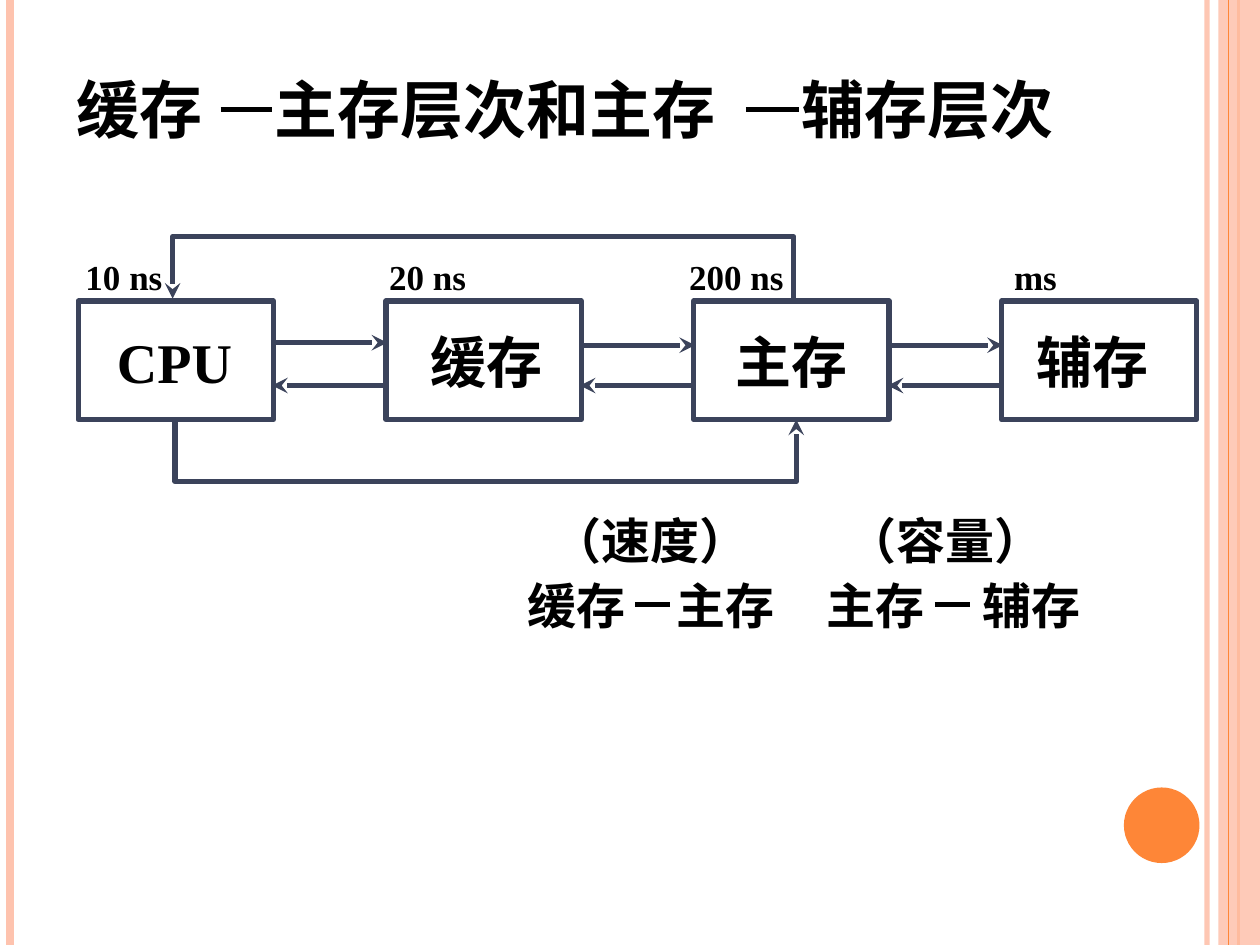
from lxml.etree import SubElement
from pptx import Presentation
from pptx.dml.color import RGBColor
from pptx.enum.shapes import MSO_CONNECTOR as CONN, MSO_SHAPE as SHAPE
from pptx.enum.text import MSO_ANCHOR as ANCHOR, PP_ALIGN as ALIGN
from pptx.oxml.ns import qn
from pptx.util import Inches, Pt

FONT = "Times New Roman"
COLORS = {"text": "000000", "diagram": "3B435B", "peach": "FEC3AE", "orange": "FE8637"}

TITLE = "缓存\t主存层次和主存\t辅存层次"
TITLE_TABS = [1.57, 5.75]
TITLE_DASHES = [(1.75, 2.16), (5.92, 6.34)]

# Vertical rules: x, colour, width in points, opacity in percent
RULES_BEHIND = [(9.58, "peach", 3, 93), (0.08, "peach", 4.5, 100), (9.83, "orange", 1.5, 100)]
RULE_FRONT = (9.75, "orange", 0.75, 100)

# Memory levels: name, name left, name width, access time, time left, time width
LEVELS = [
    ("CPU", 0.83, 1.34, "10 ns", 0.58, 0.81),
    ("缓存", 3.32, 1.31, "20 ns", 2.99, 0.81),
    ("主存", 5.74, 1.15, "200 ns", 5.37, 0.95),
    ("辅存", 8.13, 1.31, "ms", 7.95, 0.54),
]
BOX_LEFT, BOX_PITCH = 0.62, 2.443
BOX_TOP, BOX_W, BOX_H = 2.39, 1.55, 0.94
FORWARD_Y = [2.72, 2.74, 2.74]
BACK_Y = 3.06

# Paths between CPU and main memory, both ending in an arrowhead
BYPASSES = [
    [(1.39, 3.33), (1.39, 3.82), (6.32, 3.82), (6.32, 3.33)],
    [(6.3, 2.37), (6.3, 1.88), (1.37, 1.88), (1.37, 2.37)],
]

# Hierarchies: purpose, its left, (level, left) pair, dash from, dash to
HIERARCHIES = [
    ("（速度）", 4.29, [("缓存", 4.09), ("主存", 5.27)], 5.04, 5.32),
    ("（容量）", 6.63, [("主存", 6.46), ("辅存", 7.7)], 7.42, 7.7),
]

prs = Presentation()
prs.slide_width, prs.slide_height = Inches(10), Inches(7.5)
s = prs.slides.add_slide(prs.slide_layouts[5])


def rgb(name):
    return RGBColor.from_string(COLORS[name])


def set_opacity(fill_parent, percent):
    color = fill_parent.find(".//" + qn("a:srgbClr"))
    SubElement(color, qn("a:alpha"), val=str(percent * 1000))


def style_line(sp, color, width, arrow=False):
    sp.line.color.rgb = rgb(color)
    sp.line.width = Pt(width)
    if arrow:
        SubElement(sp.line._get_or_add_ln(), qn("a:tailEnd"), type="stealth")


def add_line(x1, y1, x2, y2, color, width, arrow=False, opacity=100):
    c = s.shapes.add_connector(CONN.STRAIGHT, *map(Inches, (x1, y1, x2, y2)))
    style_line(c, color, width, arrow)
    if opacity < 100:
        set_opacity(c.line._get_or_add_ln(), opacity)
    SubElement(c._element.spPr, qn("a:effectLst"))


def add_shape(kind, x, y, w, h, fill=None):
    sp = s.shapes.add_shape(kind, *map(Inches, (x, y, w, h)))
    sp.shadow.inherit = False
    if fill:
        sp.fill.solid()
        sp.fill.fore_color.rgb = rgb(fill)
        sp.line.fill.background()
    else:
        sp.fill.background()
    return sp


def add_run(p, text, size):
    r = p.add_run()
    r.text = text
    r.font.name, r.font.size, r.font.bold = FONT, Pt(size), True
    r.font.color.rgb = rgb("text")


def add_text(text, x, y, w, h, size, wrap=False):
    tf = s.shapes.add_textbox(*map(Inches, (x, y, w, h))).text_frame
    tf.word_wrap = wrap
    add_run(tf.paragraphs[0], text, size)


def add_rule(x, color, width, opacity):
    add_line(x, 0, x, 7.5, color, width, opacity=opacity)


# Page decoration
for rule in RULES_BEHIND:
    add_rule(*rule)
band = add_shape(SHAPE.RECTANGLE, 9.67, 0, 0.33, 7.5, "peach")
set_opacity(band._element.spPr, 87)
add_rule(*RULE_FRONT)
add_shape(SHAPE.OVAL, 8.92, 6.25, 0.6, 0.6, "orange")

# Title, with tab stops leaving room for the drawn dashes
title = s.shapes.title
title.left, title.top, title.width, title.height = map(Inches, (0.51, 0.51, 8.9, 0.7))
tf = title.text_frame
tf.word_wrap, tf.vertical_anchor = True, ANCHOR.MIDDLE
p = tf.paragraphs[0]
p.alignment = ALIGN.LEFT
tabs = SubElement(p._p.get_or_add_pPr(), qn("a:tabLst"))
for pos in TITLE_TABS:
    SubElement(tabs, qn("a:tab"), pos=str(Inches(pos)), algn="l")
add_run(p, TITLE, 36)
for x1, x2 in TITLE_DASHES:
    add_line(x1, 0.87, x2, 0.87, "text", 3)

# Memory levels with their access times
lefts = [BOX_LEFT + i * BOX_PITCH for i in range(len(LEVELS))]
for left, (name, name_x, name_w, time, time_x, time_w) in zip(lefts, LEVELS):
    add_text(name, name_x, 2.55, name_w, 0.63, 32, wrap=True)
    box = add_shape(SHAPE.RECTANGLE, left, BOX_TOP, BOX_W, BOX_H)
    style_line(box, "diagram", 3)
    add_text(time, time_x, 1.98, time_w, 0.43, 20)

# Arrows both ways between neighbouring levels
for left, right, y in zip(lefts, lefts[1:], FORWARD_Y):
    add_line(left + BOX_W, y, right + 0.01, y, "diagram", 3, arrow=True)
    add_line(right, BACK_Y, left + BOX_W - 0.01, BACK_Y, "diagram", 3, arrow=True)

# Bypass paths
for points in BYPASSES:
    start, *rest = [(Inches(x), Inches(y)) for x, y in points]
    builder = s.shapes.build_freeform(*start)
    builder.add_line_segments(rest, close=False)
    bypass = builder.convert_to_shape()
    bypass.shadow.inherit = False
    bypass.fill.background()
    style_line(bypass, "diagram", 3, arrow=True)

# Purpose of each hierarchy
for purpose, purpose_x, pair, x1, x2 in HIERARCHIES:
    add_text(purpose, purpose_x, 4, 1.76, 0.57, 28)
    for name, x in pair:
        add_text(name, x, 4.52, 0.98, 0.57, 28)
    add_line(x1, 4.8, x2, 4.8, "text", 3)

prs.save("out.pptx")
